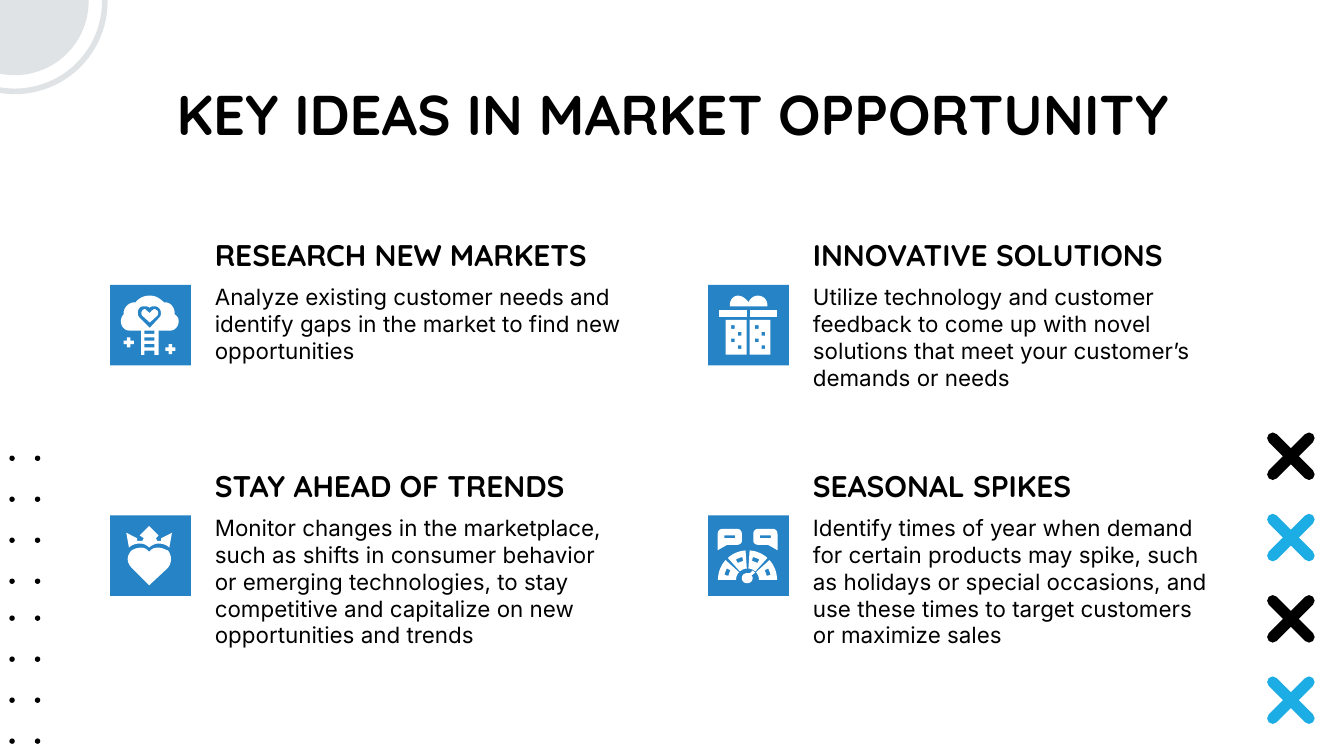
from math import cos, radians, sin

from lxml.etree import SubElement
from pptx import Presentation
from pptx.dml.color import RGBColor
from pptx.enum.shapes import MSO_CONNECTOR, MSO_SHAPE
from pptx.enum.text import MSO_ANCHOR, PP_ALIGN
from pptx.oxml.ns import qn
from pptx.util import Inches, Pt

BLACK, WHITE, GREY, BLUE, CYAN = "000000", "FFFFFF", "DFE3E5", "2683C6", "1CADE4"
TILE = 0.6
STEPS = 10  # straight pieces per curve
LOCAL_UNITS = 10000  # freeform units per inch


def color(hex_string):
    return RGBColor.from_string(hex_string)


def paint(shape, fill=None, line=None):
    shape.shadow.inherit = False
    shape.fill.background()
    shape.line.fill.background()
    if fill:
        shape.fill.solid()
        shape.fill.fore_color.rgb = color(fill)
    if line:
        shape.line.color.rgb = color(line)
        shape.line.width = Pt(3)


def add_shape(slide, kind, left, top, size, fill=None, line=None):
    shape = slide.shapes.add_shape(kind, Inches(left), Inches(top), Inches(size), Inches(size))
    paint(shape, fill, line)


def add_text(slide, left, top, width, height, text, font, size, bold=False,
             anchor=MSO_ANCHOR.TOP, align=PP_ALIGN.LEFT):
    box = slide.shapes.add_textbox(Inches(left), Inches(top), Inches(width), Inches(height))
    frame = box.text_frame
    frame.word_wrap = True
    frame.vertical_anchor = anchor
    frame.margin_left = frame.margin_right = Inches(0.1)
    frame.margin_top = frame.margin_bottom = Inches(0.1)
    paragraph = frame.paragraphs[0]
    paragraph.alignment = align
    run = paragraph.add_run()
    run.text = text
    run.font.name, run.font.size, run.font.bold = font, Pt(size), bold
    run.font.color.rgb = color(BLACK)


def flatten(contour):
    """Turn (x, y) corners and (x1, y1, x2, y2, x, y) Bezier curves into points."""
    points = []
    for step in contour:
        if len(step) == 2:
            points.append(step)
            continue
        controls = [points[-1], step[:2], step[2:4], step[4:]]
        for t in (index / STEPS for index in range(1, STEPS + 1)):
            weights = ((1 - t) ** 3, 3 * t * (1 - t) ** 2, 3 * t * t * (1 - t), t ** 3)
            points.append(tuple(sum(w * control[axis] for w, control in zip(weights, controls))
                                for axis in (0, 1)))
    return points


def add_outline(slide, left, top, contours):
    """Draw contours given in hundredths of an inch; inner ones are holes."""
    builder = None
    for contour in contours:
        points = [(x * LOCAL_UNITS / 100, y * LOCAL_UNITS / 100) for x, y in flatten(contour)]
        if builder is None:
            builder = slide.shapes.build_freeform(*points[0], scale=Inches(1) / LOCAL_UNITS)
        else:
            builder.move_to(*points[0])
        builder.add_line_segments(points[1:], close=True)
    paint(builder.convert_to_shape(Inches(left), Inches(top)), WHITE)


def rectangle(left, top, right, bottom):
    return [(left, top), (right, top), (right, bottom), (left, bottom)]


def mirror(contour, width):
    return [tuple(value if index % 2 else width - value for index, value in enumerate(step))
            for step in contour]


def sector(center_x, center_y, inner, outer, start, end):
    angles = [radians(start + (end - start) * i / STEPS) for i in range(STEPS + 1)]
    arcs = [(outer, a) for a in angles] + [(inner, a) for a in reversed(angles)]
    return [(center_x + r * cos(a), center_y - r * sin(a)) for r, a in arcs]


def plus(left, top):
    a, b, c, d = 0, 2.5, 5, 7.5
    corners = [(b, a), (c, a), (c, b), (d, b), (d, c), (c, c),
               (c, d), (b, d), (b, c), (a, c), (a, b), (b, b)]
    return [(left + x, top + y) for x, y in corners]


def cloud_ladder_icon():
    cloud = [(29.5, 8), (25, 8, 21, 10, 19, 13), (18, 13), (14, 13, 10, 17, 10, 21),
             (10, 22), (9, 23, 8, 25, 8, 27), (8, 31, 11, 34, 14, 34),
             (23, 34), (23, 52), (25.5, 52), (25.5, 49), (33, 49), (33, 52), (36, 52),
             (36, 34), (45, 34), (48, 34, 51, 31, 51, 27), (51, 25, 50, 23, 48, 22),
             (48, 21), (48, 17, 45, 13, 41, 13), (40, 13), (37, 10, 34, 8, 29.5, 8)]
    heart_gap = [(33, 16), (34, 16, 35, 16, 36, 17), (38.5, 19, 38.5, 23, 36, 25),
                 (29.5, 32), (22.5, 25), (20, 23, 20, 19, 22, 17),
                 (23, 16, 24, 16, 26, 16), (27, 16, 28, 16, 29.5, 17), (30, 16, 32, 16, 33, 16)]
    rung_gaps = [rectangle(25.5, top, 33, top + 2.5) for top in (34, 39, 44)]
    heart = [(26, 18), (25, 18, 24, 19, 24, 19), (23, 20, 23, 22, 24, 23), (29.5, 28),
             (35, 23), (36, 22, 36, 20, 35, 19), (34, 19, 34, 18, 33, 18),
             (32, 18, 32, 19, 31, 19), (29.5, 21), (27, 19), (27, 19, 26, 18, 26, 18)]
    return [[heart], [cloud, heart_gap, *rung_gaps], [plus(41, 44)], [plus(10, 39)]]


def gift_icon():
    half = [rectangle(13, 26, 28.5, 52)]
    for row in range(4):
        left, top = 17 + 5 * (row % 2), 30 + 5 * row
        half.append(rectangle(left, top, left + 2.7, top + 2.7))
    right_half = [[(x + 17.7, y) for x, y in contour] for contour in half]
    lid = rectangle(8, 19, 28.7, 24)
    bow = [(22, 8), (19, 8, 16, 11, 16, 15), (16, 16), (44, 16), (44, 15),
           (44, 11, 41, 8, 37, 8), (34, 8, 31, 10, 30, 13), (28, 10, 25, 8, 22, 8)]
    return [[lid], [mirror(lid, 59.5)], half, right_half, [bow]]


def crowned_heart_icon():
    heart = [(23, 24), (19, 24, 16, 26, 16, 26), (12, 30, 12, 35, 16, 39), (29, 52),
             (43, 39), (46, 35, 46, 30, 43, 26), (42, 26, 39, 24, 36, 24),
             (34, 24, 32, 24, 30, 26), (29, 27), (28, 26), (26, 24, 24, 24, 23, 24)]
    crown = [(29, 8), (22, 15), (25, 17), (24, 19), (20, 19), (20, 17), (12, 13), (14, 24),
             (16, 22, 19, 21, 22, 21), (25, 21, 27, 22, 29, 24), (31, 22, 34, 21, 36, 21),
             (39, 21, 42, 22, 44, 24), (46, 13), (38, 17), (38, 19), (35, 19), (34, 17), (36, 15)]
    return [[heart], [crown]]


def gauge_icon():
    width, hub_y = 58.5, 48
    bubble = [(11, 10), (9, 10, 7, 11, 7, 14), (7, 26), (14, 22), (21, 22),
              (23, 22, 25, 21, 25, 19), (25, 14), (25, 11, 23, 10, 21, 10)]
    parts = [[bubble, rectangle(12, 15, 20, 17)]]
    for start, end, hole_start, hole_end in ((132, 94, 120, 103), (180, 138, 168, 151)):
        parts.append([sector(width / 2, hub_y, 8.5, 22, start, end),
                      sector(width / 2, hub_y, 14.5, 17.5, hole_start, hole_end)])
    parts += [[mirror(contour, width) for contour in part] for part in parts]
    needle_hub = [(33, 41), (31, 43), (30, 43, 29, 43, 29, 43), (27, 43, 25, 44, 25, 47),
                  (25, 49, 27, 50.5, 29, 50.5), (31, 50.5, 33, 49, 33, 47),
                  (33, 46, 33, 45, 32, 45), (35, 42.5)]
    return parts + [[needle_hub]]


def add_corner_rings(slide, left, top):
    add_shape(slide, MSO_SHAPE.OVAL, left, top, 1.34, line=GREY)
    add_shape(slide, MSO_SHAPE.OVAL, left + 0.12, top + 0.12, 1.1, fill=GREY)


def add_dots(slide, left, top):
    for index in range(16):
        row, column = divmod(index, 2)
        block, row = divmod(row, 4)
        add_shape(slide, MSO_SHAPE.OVAL, left + 0.19 * column,
                  top + 1.19 * block + 0.305 * row, 0.04, BLACK)


def add_cross(slide, left, top, hex_string, size=0.27):
    for start, end in ((top, top + size), (top + size, top)):
        stroke = slide.shapes.add_connector(MSO_CONNECTOR.STRAIGHT, Inches(left + size),
                                            Inches(start), Inches(left), Inches(end))
        stroke.line.color.rgb = color(hex_string)
        stroke.line.width = Pt(6)
        stroke._element.spPr.find(qn("a:ln")).set("cap", "rnd")
        SubElement(stroke._element.spPr, qn("a:effectLst"))


def add_idea(slide, left, top, heading, body, icon):
    text_left, icon_top = left + 0.68, top + 0.52
    add_text(slide, text_left, top, 3.22, 0.53, heading, "Quicksand", 16, True, MSO_ANCHOR.BOTTOM)
    add_text(slide, text_left, top + 0.41, 3.22, 1.16, body, "Inter", 12)
    add_shape(slide, MSO_SHAPE.RECTANGLE, left, icon_top, TILE, BLUE)
    for contours in icon:
        add_outline(slide, left, icon_top, contours)


def main():
    presentation = Presentation()
    presentation.slide_width, presentation.slide_height = Inches(10), Inches(5.625)
    slide = presentation.slides.add_slide(presentation.slide_layouts[6])
    add_corner_rings(slide, -0.56, -0.66)
    for index in range(4):
        add_cross(slide, 9.47, 3.26 + 0.605 * index, (BLACK, CYAN)[index % 2])
    add_dots(slide, 0.07, 3.39)
    add_text(slide, 0.79, 0.49, 8.43, 0.63, "KEY IDEAS IN MARKET OPPORTUNITY",
             "Quicksand", 30, True, align=PP_ALIGN.CENTER)
    ideas = [
        ("RESEARCH NEW MARKETS", "Analyze existing customer needs and identify gaps in the "
         "market to find new opportunities", cloud_ladder_icon()),
        ("INNOVATIVE SOLUTIONS", "Utilize technology and customer feedback to come up with novel "
         "solutions that meet your customer’s demands or needs", gift_icon()),
        ("STAY AHEAD OF TRENDS", "Monitor changes in the marketplace, such as shifts in consumer "
         "behavior or emerging technologies, to stay competitive and capitalize on new "
         "opportunities and trends", crowned_heart_icon()),
        ("SEASONAL SPIKES", "Identify times of year when demand for certain products may spike, "
         "such as holidays or special occasions, and use these times to target customers or "
         "maximize sales", gauge_icon())]
    for index, idea in enumerate(ideas):
        row, column = divmod(index, 2)
        add_idea(slide, 0.82 + 4.45 * column, 1.6 + 1.715 * row, *idea)
    presentation.save("out.pptx")


if __name__ == "__main__":
    main()
